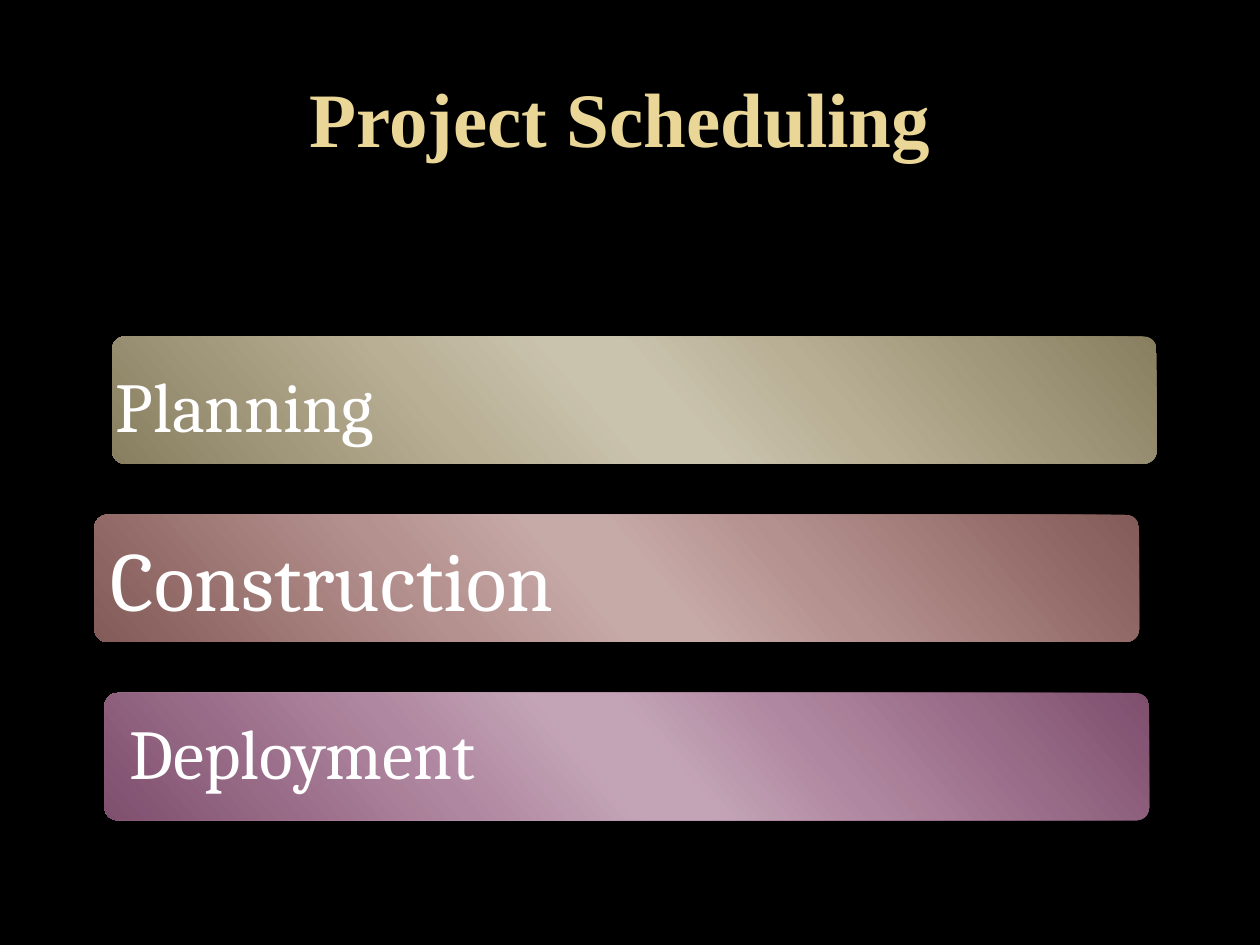
from dataclasses import dataclass

from lxml import etree
from pptx import Presentation
from pptx.dml.color import RGBColor
from pptx.enum.shapes import MSO_SHAPE
from pptx.enum.text import MSO_ANCHOR, PP_ALIGN
from pptx.oxml.ns import qn
from pptx.util import Inches, Pt

ROUNDED = MSO_SHAPE.ROUNDED_RECTANGLE
MIDDLE = MSO_ANCHOR.MIDDLE
LEFT, CENTER = PP_ALIGN.LEFT, PP_ALIGN.CENTER

COLORS = {
    "background": "000000", "title": "EAD696", "label": "FFFFFF",
    "sand_edge": "887F61", "sand_mid": "B9AF95", "sand_core": "C9C2AD",
    "rose_edge": "835B58", "rose_mid": "B4908E", "rose_core": "C6AAA8",
    "plum_edge": "7F4F6E", "plum_mid": "B087A0", "plum_core": "C3A4B6",
}
# Gradient stops run from edge to core and back
STOPS = ((0, "edge"), (33, "mid"), (47, "core"), (53, "core"), (68, "mid"), (100, "edge"))
GRADIENT_ANGLE = 139

# Rows of the bar stack, in inches
FIRST_TOP, ROW_PITCH = 2.67, 1.415
BAR_WIDTH, BAR_HEIGHT = 8.29, 1.01
LABEL_WIDTH, LABEL_HEIGHT, LABEL_INSET = 6.89, 0.95, 0.17


@dataclass(frozen=True)
class Phase:
    name: str
    row: int
    left: float
    tone: str
    size: int
    label_at: tuple[float, float] | None = None  # None: text sits in the bar


PHASES = (
    Phase("Construction", 1, 0.75, "rose", 48),
    Phase("Deployment", 2, 0.83, "plum", 40, (0.86, 5.53)),
    Phase("Planning", 0, 0.89, "sand", 40, (0.75, 2.78)),
)


def write_text(shape, text: str, font: str, size: int, color: str,
               align=LEFT, bold: bool = False) -> None:
    frame = shape.text_frame
    frame.word_wrap = True
    frame.vertical_anchor = MIDDLE
    para = frame.paragraphs[0]
    para.text = text
    para.alignment = align
    para.font.name = font
    para.font.size = Pt(size)
    para.font.bold = bold
    para.font.color.rgb = RGBColor.from_string(COLORS[color])


def fill_gradient(shape, tone: str) -> None:
    shape.fill.gradient()
    shape.fill.gradient_angle = 360 - GRADIENT_ANGLE
    stop_list = shape.fill._fill._gradFill.find(qn("a:gsLst"))
    for stop in list(stop_list):
        stop_list.remove(stop)
    for position, part in STOPS:
        stop = etree.SubElement(stop_list, qn("a:gs"), pos=str(position * 1000))
        etree.SubElement(stop, qn("a:srgbClr"), val=COLORS[f"{tone}_{part}"])


def add_phase(page, phase: Phase) -> None:
    top = FIRST_TOP + phase.row * ROW_PITCH
    bar = page.shapes.add_shape(ROUNDED, Inches(phase.left), Inches(top),
                                Inches(BAR_WIDTH), Inches(BAR_HEIGHT))
    bar.adjustments[0] = 0.1
    bar.shadow.inherit = False
    bar.line.fill.background()
    fill_gradient(bar, phase.tone)
    target = bar
    if phase.label_at:
        left, label_top = phase.label_at
        target = page.shapes.add_textbox(Inches(left), Inches(label_top),
                                         Inches(LABEL_WIDTH), Inches(LABEL_HEIGHT))
        frame = target.text_frame
        frame.margin_left = frame.margin_right = Inches(LABEL_INSET)
        frame.margin_top = frame.margin_bottom = Inches(LABEL_INSET)
        frame.paragraphs[0].line_spacing = 0.9
    write_text(target, phase.name, "Cambria", phase.size, "label")


def main() -> None:
    deck = Presentation()
    deck.slide_width, deck.slide_height = Inches(10), Inches(7.5)
    page = deck.slides.add_slide(deck.slide_layouts[6])
    page.background.fill.solid()
    page.background.fill.fore_color.rgb = RGBColor.from_string(COLORS["background"])

    # Title
    title = page.shapes.add_textbox(Inches(0.5), Inches(0.3), Inches(9), Inches(1.25))
    write_text(title, "Project Scheduling ", "Times New Roman", 44, "title", CENTER, True)

    # Phase bars
    for phase in PHASES:
        add_phase(page, phase)

    deck.save("out.pptx")


if __name__ == "__main__":
    main()
